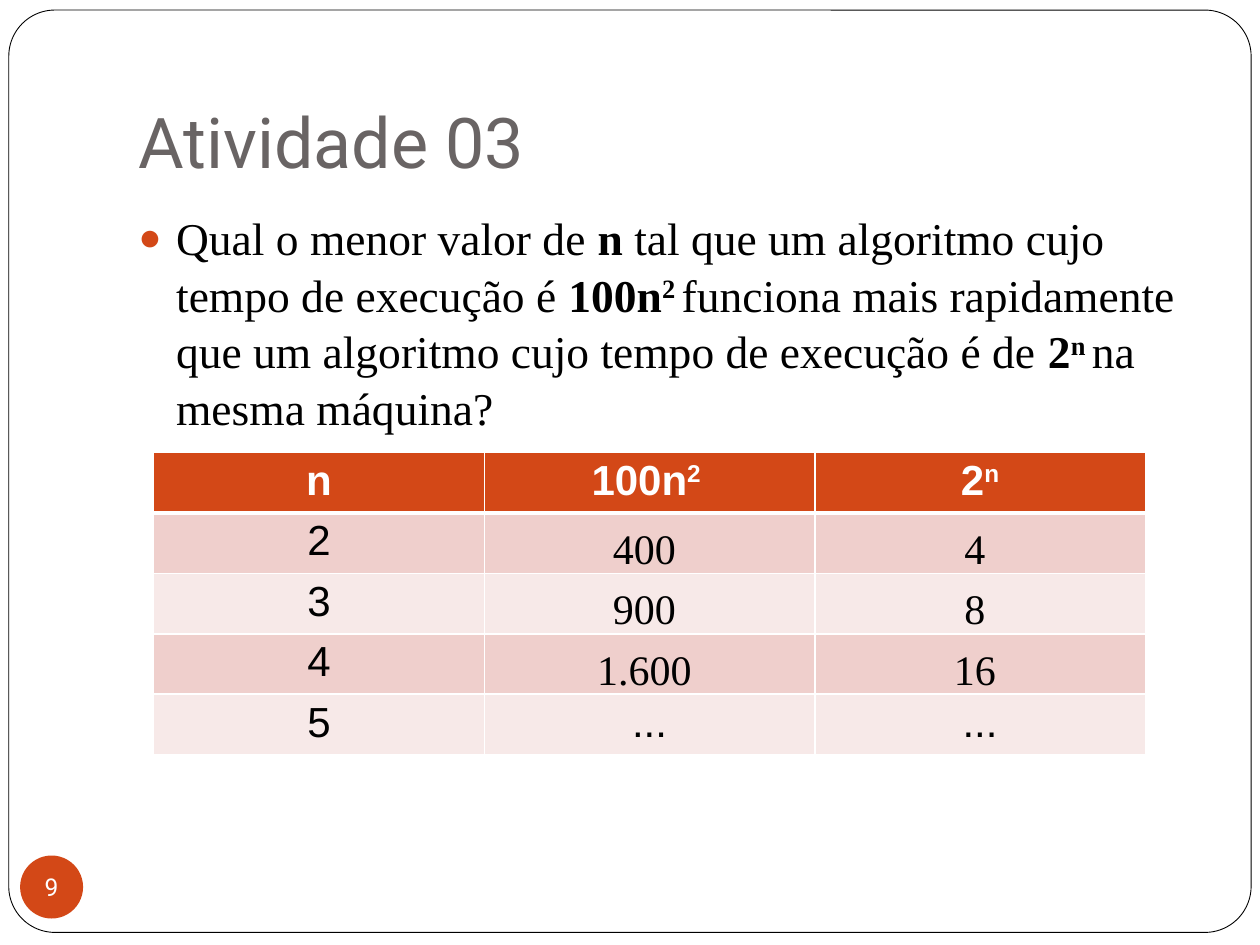
from lxml import etree
from pptx import Presentation
from pptx import util as u
from pptx.dml.color import RGBColor
from pptx.enum import shapes, text
from pptx.oxml import ns

GRID = u.Inches(0.1)
COLUMNS, ROWS = 100, 75
ACCENT, WHITE, BLACK, GREY = "D34817", "FFFFFF", "000000", "696464"
BANDS = ("EFCFCC", "F7E9E8")
SANS, SERIF, HEADING = "Arial", "Times New Roman", "Roboto"

QUESTION = [
    ("Qual o menor valor de ", ""),
    ("n ", "bold"),
    ("tal que um algoritmo cujo tempo de execução é ", ""),
    ("100n", "bold"),
    ("2 ", "bold super"),
    ("funciona mais rapidamente que um algoritmo cujo tempo de execução é de ", ""),
    ("2", "bold"),
    ("n ", "bold super"),
    ("na mesma máquina?", ""),
]
HEADER = [
    [("n", "bold")],
    [("100n", "bold"), ("2 ", "bold super")],
    [("2", "bold"), ("n", "bold super")],
]
VALUES = [
    ("2", "400 ", "4 "),
    ("3", "900 ", "8 "),
    ("4", "1.600 ", "16 "),
    ("5", "...", "..."),
]


def color(value):
    """Return the colour for a hex string."""
    return RGBColor.from_string(value)


def grid_box(left, top, width, height):
    """Turn grid columns and rows into slide lengths."""
    return [round(GRID * part) for part in (left, top, width, height)]


def paint(item, value):
    """Give a shape or cell a solid fill."""
    item.fill.solid()
    item.fill.fore_color.rgb = color(value)


def set_font(paragraph, name, size, value):
    """Set the font that all runs of a paragraph share."""
    paragraph.font.name = name
    paragraph.font.size = u.Pt(size)
    paragraph.font.color.rgb = color(value)


def add_runs(paragraph, parts):
    """Write runs, each with its bold and superscript marks."""
    for wording, style in parts:
        run = paragraph.add_run()
        run.text = wording
        run.font.bold = "bold" in style
        if "super" in style:
            run._r.get_or_add_rPr().set("baseline", "30000")


def set_margins(item, side, top, bottom):
    """Set the inner margins of a cell or text frame in inches."""
    item.margin_left = item.margin_right = u.Inches(side)
    item.margin_top, item.margin_bottom = u.Inches(top), u.Inches(bottom)


def add_bullet(paragraph, indent):
    """Give a paragraph a coloured round bullet with a hanging indent."""
    properties = paragraph._p.get_or_add_pPr()
    properties.set("marL", str(indent))
    properties.set("indent", str(-indent))
    bullet_color = etree.SubElement(properties, ns.qn("a:buClr"))
    etree.SubElement(bullet_color, ns.qn("a:srgbClr"), val=ACCENT)
    etree.SubElement(properties, ns.qn("a:buSzPct"), val="85000")
    etree.SubElement(properties, ns.qn("a:buFont"), typeface=SANS)
    etree.SubElement(properties, ns.qn("a:buChar"), char="●")


def add_frame(slide, box):
    """Place the rounded page frame behind everything else."""
    frame = slide.shapes.add_shape(shapes.MSO_SHAPE.ROUNDED_RECTANGLE, *box)
    frame.adjustments[0] = 0.05
    frame.shadow.inherit = False
    paint(frame, WHITE)
    frame.line.color.rgb = color(BLACK)
    frame.line.width = u.Pt(0.5)
    slide.shapes._spTree.insert(2, frame._element)


def format_title(slide, box):
    """Move and format the title placeholder."""
    title = slide.shapes.title
    title.left, title.top, title.width, title.height = box
    frame = title.text_frame
    frame.text = "Atividade 03"
    frame.auto_size = text.MSO_AUTO_SIZE.NONE
    frame.vertical_anchor = text.MSO_ANCHOR.BOTTOM
    set_margins(frame, 0.1, 0.05, 0.1)
    paragraph = frame.paragraphs[0]
    paragraph.alignment = text.PP_ALIGN.LEFT
    set_font(paragraph, HEADING, 40, GREY)


def add_question(slide, box):
    """Write the bulleted question."""
    frame = slide.shapes.add_textbox(*box).text_frame
    frame.word_wrap = True
    paragraph = frame.paragraphs[0]
    paragraph.line_spacing = 1.04
    add_bullet(paragraph, u.Inches(0.3))
    set_font(paragraph, SERIF, 26, BLACK)
    add_runs(paragraph, QUESTION)


def add_borders(cell, bottom):
    """Draw white borders around a cell, with its own bottom width."""
    properties = cell._tc.get_or_add_tcPr()
    for index, (side, width) in enumerate(zip("LRTB", (1, 1, 1, bottom))):
        line = etree.Element(ns.qn(f"a:ln{side}"), w=str(u.Pt(width)))
        fill = etree.SubElement(line, ns.qn("a:solidFill"))
        etree.SubElement(fill, ns.qn("a:srgbClr"), val=WHITE)
        properties.insert(index, line)


def fill_cell(cell, parts, fill, font, value, bottom):
    """Fill one table cell with centred text."""
    paint(cell, fill)
    add_borders(cell, bottom)
    paragraph = cell.text_frame.paragraphs[0]
    paragraph.alignment = text.PP_ALIGN.CENTER
    set_font(paragraph, font, 24, value)
    add_runs(paragraph, parts)
    if font == SERIF:
        cell.vertical_anchor = text.MSO_ANCHOR.BOTTOM
        set_margins(cell, 0.01, 0.01, 0)
    else:
        set_margins(cell, 0.1, 0.04, 0.04)


def add_growth_table(slide, box):
    """Build the table that compares both running times."""
    table = slide.shapes.add_table(len(VALUES) + 1, len(HEADER), *box).table
    for column, parts in enumerate(HEADER):
        fill_cell(table.cell(0, column), parts, ACCENT, SANS, WHITE, 3)
    for row, values in enumerate(VALUES):
        for column, value in enumerate(values):
            font = SERIF if column and value != "..." else SANS
            fill_cell(table.cell(row + 1, column), [(value, "")],
                      BANDS[row % 2], font, BLACK, 1)


def add_page_number(slide, box):
    """Place the round page number."""
    badge = slide.shapes.add_shape(shapes.MSO_SHAPE.OVAL, *box)
    badge.shadow.inherit = False
    paint(badge, ACCENT)
    badge.line.fill.background()
    frame = badge.text_frame
    frame.text = "9"
    frame.word_wrap = False
    frame.vertical_anchor = text.MSO_ANCHOR.MIDDLE
    set_margins(frame, 0, 0, 0)
    paragraph = frame.paragraphs[0]
    paragraph.alignment = text.PP_ALIGN.CENTER
    set_font(paragraph, HEADING, 14, WHITE)


def main():
    """Build and save the slide."""
    presentation = Presentation()
    presentation.slide_width = GRID * COLUMNS
    presentation.slide_height = GRID * ROWS
    slide = presentation.slides.add_slide(presentation.slide_layouts[5])
    add_frame(slide, grid_box(0.7, 0.8, COLUMNS - 1.4, ROWS - 1.8))
    format_title(slide, grid_box(10, 3, 85, 12.5))
    add_question(slide, grid_box(10, 16, 85, 19))
    add_growth_table(slide, grid_box(12.2, 35.9, 78.7, 23.5))
    add_page_number(slide, grid_box(1.6, 67.9, 5, 5))
    presentation.save("out.pptx")


if __name__ == "__main__":
    main()
